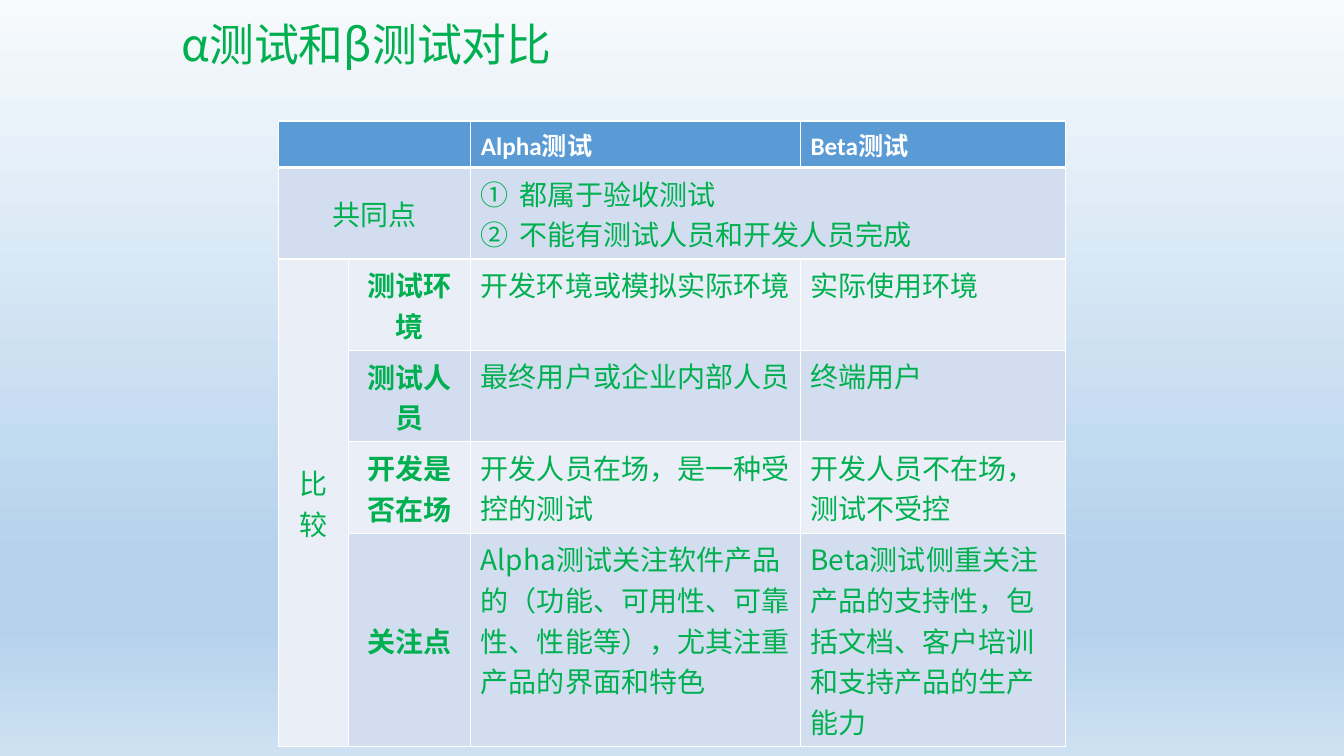
from dataclasses import dataclass
from typing import Optional

from lxml import etree
from pptx import Presentation
from pptx.dml.color import RGBColor
from pptx.enum import text
from pptx.oxml import ns
from pptx.util import Inches, Pt


@dataclass(frozen=True)
class Theme:
    green: str = "00B050"
    white: str = "FFFFFF"
    header: str = "5B9BD5"
    bands: tuple = ("D2DEEF", "EAEFF7")
    backdrop: tuple = ((0, "F7FAFD"), (74, "B5D2EC"), (83, "B5D2EC"), (100, "CEE1F2"))
    cjk: str = "Noto Sans CJK SC"
    latin: str = "Calibri"
    title_size: int = 32
    header_size: int = 18
    body_size: int = 20
    thin: int = 1
    thick: int = 3


@dataclass(frozen=True)
class Style:
    size: int
    color: str
    font: str
    bold: bool = False


@dataclass(frozen=True)
class Entry:
    row: int
    col: int
    lines: tuple
    style: Style
    span: tuple = (1, 1)
    centered: bool = False
    numbered: bool = False


T = Theme()
TITLE = Style(T.title_size, T.green, T.cjk)
HEADER = Style(T.header_size, T.white, T.latin, True)
BODY = Style(T.body_size, T.green, T.cjk)
LABEL = Style(T.body_size, T.green, T.cjk, True)

COL_WIDTHS = (0.7, 1.21, 3.27, 2.63)
ROW_HEIGHTS = (0.43, 0.83, 0.55, 0.55, 0.72, 1.34)
COMPARISONS = (
    ("测试环境", "开发环境或模拟实际环境", "实际使用环境"),
    ("测试人员", "最终用户或企业内部人员", "终端用户"),
    ("开发是否在场", "开发人员在场，是一种受控的测试", "开发人员不在场，测试不受控"),
    ("关注点",
     "Alpha测试关注软件产品的（功能、可用性、可靠性、性能等），尤其注重产品的界面和特色",
     "Beta测试侧重关注产品的支持性，包括文档、客户培训和支持产品的生产能力"),
)
ENTRIES = [
    Entry(0, 0, (), HEADER, span=(1, 2)),
    Entry(0, 2, ("Alpha测试",), HEADER),
    Entry(0, 3, ("Beta测试",), HEADER),
    Entry(1, 0, ("共同点",), BODY, span=(1, 2), centered=True),
    Entry(1, 2, ("都属于验收测试", "不能有测试人员和开发人员完成"), BODY,
          span=(1, 2), numbered=True),
    Entry(2, 0, ("比较",), BODY, span=(len(COMPARISONS), 1), centered=True),
]
for row, (label, alpha, beta) in enumerate(COMPARISONS, start=2):
    ENTRIES += [
        Entry(row, 1, (label,), LABEL, centered=True),
        Entry(row, 2, (alpha,), BODY),
        Entry(row, 3, (beta,), BODY),
    ]


def add_node(parent, tag: str, **attrs):
    return etree.SubElement(parent, ns.qn(tag), attrs)


def add_run(p, words: str, style: Style) -> None:
    r = p.add_run()
    r.text = words
    r.font.size = Pt(style.size)
    r.font.bold = style.bold
    r.font.name = style.font
    r.font.color.rgb = RGBColor.from_string(style.color)
    add_node(r.font._element, "a:ea", typeface=T.cjk)


def number_paragraph(p) -> None:
    pPr = p._p.get_or_add_pPr()
    indent = Inches(0.38)
    pPr.set("marL", str(indent))
    pPr.set("indent", str(-indent))
    add_node(pPr, "a:buFont", typeface="+mj-ea")
    add_node(pPr, "a:buAutoNum", type="circleNumDbPlain")


def write_lines(tf, lines: tuple, style: Style,
                align: Optional[text.PP_ALIGN] = None, numbered: bool = False) -> None:
    for i, line in enumerate(lines):
        p = tf.paragraphs[0] if i == 0 else tf.add_paragraph()
        p.alignment = align
        if numbered:
            number_paragraph(p)
        add_run(p, line, style)


def style_cell(cell, row: int) -> None:
    tcPr = cell._tc.get_or_add_tcPr()
    widths = {"a:lnL": T.thin, "a:lnR": T.thin,
              "a:lnT": T.thick if row == 1 else T.thin,
              "a:lnB": T.thick if row == 0 else T.thin}
    for tag, width in widths.items():
        ln = add_node(tcPr, tag, w=str(Pt(width)))
        add_node(add_node(ln, "a:solidFill"), "a:srgbClr", val=T.white)
    cell.fill.solid()
    color = T.header if row == 0 else T.bands[(row - 1) % 2]
    cell.fill.fore_color.rgb = RGBColor.from_string(color)


def fill_entry(table, entry: Entry) -> None:
    cell = table.cell(entry.row, entry.col)
    rows, cols = entry.span
    if rows * cols > 1:
        cell.merge(table.cell(entry.row + rows - 1, entry.col + cols - 1))
    if entry.centered:
        cell.vertical_anchor = text.MSO_ANCHOR.MIDDLE
    align = text.PP_ALIGN.CENTER if entry.centered else None
    write_lines(cell.text_frame, entry.lines, entry.style, align, entry.numbered)


def paint_background(s) -> None:
    fill = s.background.fill
    fill.gradient()
    fill.gradient_angle = 270
    stops = s.element.find(".//" + ns.qn("a:gsLst"))
    for stop in list(stops):
        stops.remove(stop)
    for percent, color in T.backdrop:
        stop = add_node(stops, "a:gs", pos=str(percent * 1000))
        add_node(stop, "a:srgbClr", val=color)


def add_comparison_table(s) -> None:
    frame = s.shapes.add_table(len(ROW_HEIGHTS), len(COL_WIDTHS), Inches(2.76),
                               Inches(1.2), Inches(sum(COL_WIDTHS)), Inches(5.33))
    table = frame.table
    for column, width in zip(table.columns, COL_WIDTHS):
        column.width = Inches(width)
    for i, height in enumerate(ROW_HEIGHTS):
        table.rows[i].height = Inches(height)
        for cell in table.rows[i].cells:
            style_cell(cell, i)
    for entry in ENTRIES:
        fill_entry(table, entry)
    frame.height = Inches(5.33)


def add_title(s) -> None:
    sp = s.shapes.add_textbox(Inches(1.7), Inches(0.12), Inches(6.77), Inches(0.64))
    tf = sp.text_frame
    tf.word_wrap = True
    tf.auto_size = text.MSO_AUTO_SIZE.SHAPE_TO_FIT_TEXT
    write_lines(tf, ("α测试和β测试对比",), TITLE)


prs = Presentation()
prs.slide_width, prs.slide_height = Inches(13.33), Inches(7.5)
s = prs.slides.add_slide(prs.slide_layouts[6])
paint_background(s)
add_comparison_table(s)
add_title(s)
prs.save("out.pptx")
